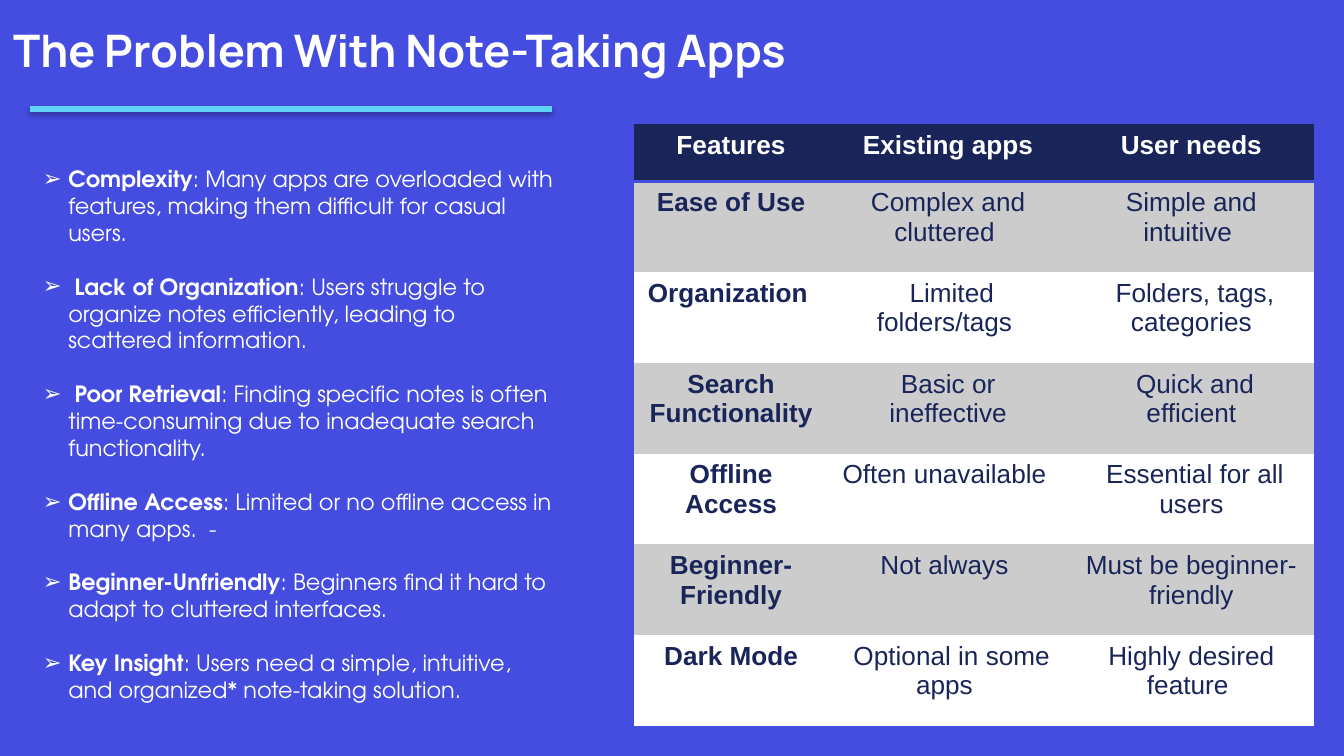
import pptx
import pptx.dml.color
import pptx.enum.shapes
import pptx.enum.text
import pptx.oxml
import pptx.oxml.ns
import pptx.util
from pptx.util import Inches, Pt

# Content
TITLE = "The Problem With Note-Taking Apps"
PROBLEMS = [
    ("Complexity", "Many apps are overloaded with features, making them difficult for casual users."),
    (" Lack of Organization", "Users struggle to organize notes efficiently, leading to scattered information."),
    (" Poor Retrieval", "Finding specific notes is often time-consuming due to inadequate search functionality."),
    ("Offline Access", "Limited or no offline access in many apps.  -"),
    ("Beginner-Unfriendly", "Beginners find it hard to adapt to cluttered interfaces."),
    ("Key Insight", "Users need a simple, intuitive, and organized* note-taking solution."),
]
FEATURES = [
    ("Features", "Existing apps", "User needs"),
    ("Ease of Use", "Complex and cluttered ", "Simple and intuitive "),
    ("Organization", " Limited folders/tags ", " Folders, tags, categories"),
    ("Search Functionality", "Basic or ineffective", " Quick and efficient"),
    ("Offline Access", "Often unavailable ", " Essential for all users"),
    ("Beginner-Friendly", "Not always ", "Must be beginner-friendly"),
    ("Dark Mode", " Optional in some apps ", "Highly desired feature "),
]
COLUMN_WIDTHS = [1.44, 1.79, 1.83]
TABLE_HEIGHT, HEADER_HEIGHT = 4.48, 0.43
COLORS = {"background": "454DE1", "navy": "192559", "gray": "CCCCCC",
          "white": "FFFFFF", "cyan": "5FD3F6", "shadow": "000000"}
PLAIN_TABLE_STYLE = "{2D5ABB26-0587-4C30-8999-92F81FD0307C}"
ALIGN = pptx.enum.text.PP_ALIGN
ANCHOR = pptx.enum.text.MSO_ANCHOR


def rgb(name):
    return pptx.dml.color.RGBColor.from_string(COLORS[name])


def xml(tag, inner="", **attributes):
    listed = "".join(f' {key}="{value}"' for key, value in attributes.items())
    return pptx.oxml.parse_xml(
        f'<a:{tag} {pptx.oxml.ns.nsdecls("a")}{listed}>{inner}</a:{tag}>')


def write(para, text, font="Arial", size=14, color="white", bold=False):
    span = para.add_run()
    span.text = text
    span.font.name, span.font.size, span.font.bold = font, Pt(size), bold
    span.font.color.rgb = rgb(color)


def add_box(page, left, top, width, height, anchor):
    box = page.shapes.add_textbox(*map(Inches, (left, top, width, height)))
    frame = box.text_frame
    frame.word_wrap, frame.vertical_anchor = True, anchor
    frame.margin_left = frame.margin_right = Inches(0.1)
    frame.margin_top = frame.margin_bottom = Inches(0.1)
    return frame


# Widescreen page, 16:9
deck = pptx.Presentation()
deck.slide_width = Inches(10)
deck.slide_height = deck.slide_width * 9 // 16
page = deck.slides.add_slide(deck.slide_layouts[6])
page.background.fill.solid()
page.background.fill.fore_color.rgb = rgb("background")

# Title
frame = add_box(page, 0, -0.13, 6.3, 0.8, ANCHOR.BOTTOM)
write(frame.paragraphs[0], TITLE, font="Manrope", size=24, bold=True)

# Bulleted problems, one line apart
frame = add_box(page, 0.22, 1.13, 4.06, 3.62, ANCHOR.TOP)
for index, (name, detail) in enumerate(PROBLEMS):
    para = frame.add_paragraph() if index else frame.paragraphs[0]
    para.space_before = Pt(14.4 if index else 0)
    properties = para._p.get_or_add_pPr()
    properties.set("marL", str(Inches(0.19)))
    properties.set("indent", str(-Inches(0.19)))
    properties.append(xml("buClr", f'<a:srgbClr val="{COLORS["white"]}"/>'))
    properties.append(xml("buFont", typeface="Arial"))
    properties.append(xml("buChar", char="➢"))
    write(para, name, font="TeX Gyre Adventor", size=12, bold=True)
    write(para, ": " + detail, font="TeX Gyre Adventor", size=12)

# Feature table
body_rows = len(FEATURES) - 1
row_heights = [HEADER_HEIGHT] + [(TABLE_HEIGHT - HEADER_HEIGHT) / body_rows] * body_rows
table = page.shapes.add_table(
    len(FEATURES), len(COLUMN_WIDTHS), Inches(4.72), Inches(0.92),
    Inches(sum(COLUMN_WIDTHS)), Inches(TABLE_HEIGHT)).table
table._tbl.tblPr.find(pptx.oxml.ns.qn("a:tableStyleId")).text = PLAIN_TABLE_STYLE
for column, width in zip(table.columns, COLUMN_WIDTHS):
    column.width = Inches(width)
for r, (texts, height) in enumerate(zip(FEATURES, row_heights)):
    table.rows[r].height = Inches(height)
    fill = "navy" if r == 0 else "gray" if r % 2 else "white"
    for c, text in enumerate(texts):
        cell = table.cell(r, c)
        cell.fill.solid()
        cell.fill.fore_color.rgb = rgb(fill)
        para = cell.text_frame.paragraphs[0]
        para.alignment = ALIGN.LEFT if text == "Organization" else ALIGN.CENTER
        write(para, text, color="navy" if r else "white", bold=r == 0 or c == 0)
        if r == 0:
            cell._tc.get_or_add_tcPr().insert(0, xml(
                "lnB", f'<a:solidFill><a:srgbClr val="{COLORS["background"]}"/></a:solidFill>',
                w=Pt(2)))

# Title rule with a soft shadow
rule = page.shapes.add_connector(
    pptx.enum.shapes.MSO_CONNECTOR.STRAIGHT,
    Inches(0.22), Inches(0.81), Inches(4.11), Inches(0.81))
rule.line.color.rgb = rgb("cyan")
rule.line.width = Pt(3)
shadow = (f'<a:outerShdw blurRad="{Pt(3.1)}" dist="{Pt(1.8)}" dir="5400000" rotWithShape="0">'
          f'<a:srgbClr val="{COLORS["shadow"]}"><a:alpha val="35000"/></a:srgbClr></a:outerShdw>')
rule._element.spPr.append(xml("effectLst", shadow))

deck.save("out.pptx")
